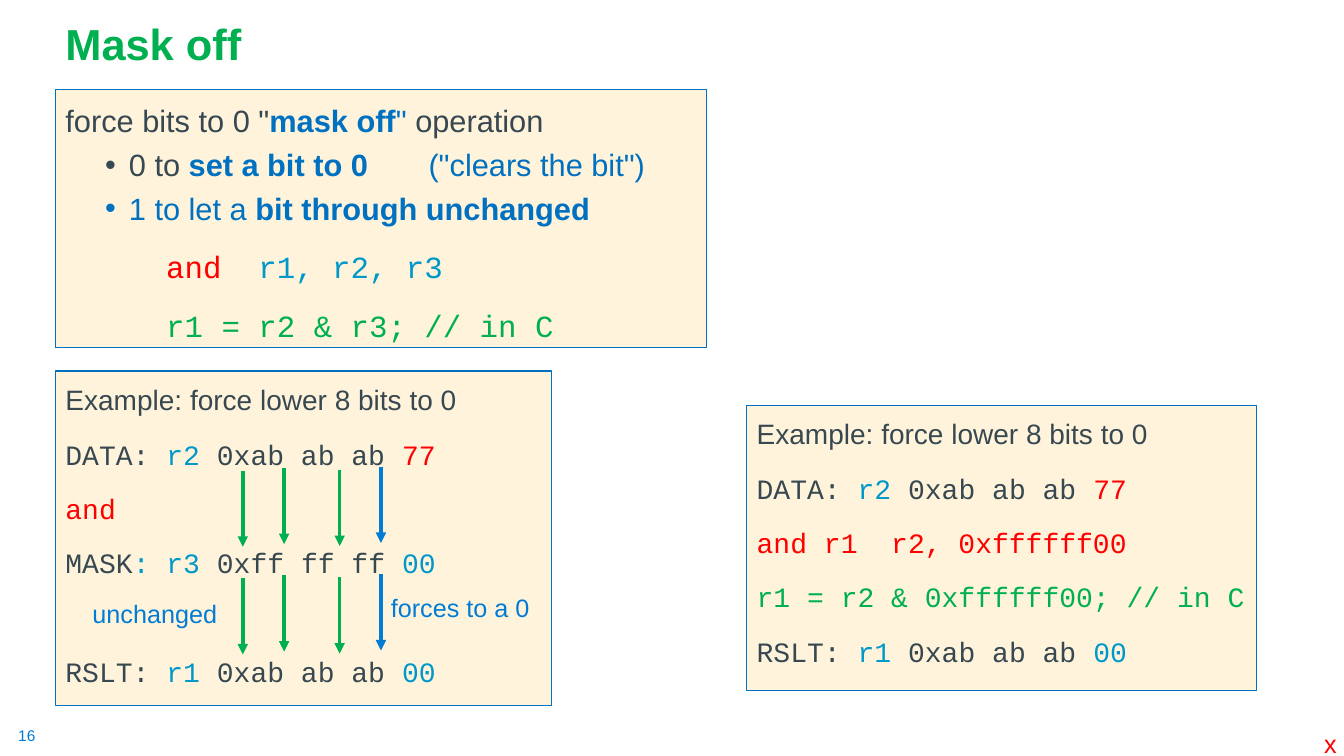
from lxml import etree
from pptx import Presentation
from pptx.dml.color import RGBColor
from pptx.enum.shapes import MSO_CONNECTOR, MSO_SHAPE
from pptx.enum.text import MSO_ANCHOR, PP_ALIGN
from pptx.oxml.ns import qn
from pptx.util import Cm, Pt

RECTANGLE = MSO_SHAPE.RECTANGLE
STRAIGHT = MSO_CONNECTOR.STRAIGHT
TOP, BOTTOM = MSO_ANCHOR.TOP, MSO_ANCHOR.BOTTOM
LEFT = PP_ALIGN.LEFT

CREAM = RGBColor(0xFF, 0xF4, 0xDB)
BLUE = RGBColor(0x00, 0x70, 0xC0)
BRIGHT = RGBColor(0x00, 0x7C, 0xD5)
CYAN = RGBColor(0x00, 0x98, 0xC9)
GREEN = RGBColor(0x00, 0xB0, 0x50)
RED = RGBColor(0xFF, 0x00, 0x00)
SLATE = RGBColor(0x38, 0x48, 0x51)

SANS, MONO = "Arial", "Courier New"

HEADING = [("Example: force lower 8 bits to 0", SLATE)]
DATA = [("DATA: ", SLATE), ("r2", CYAN), (" 0xab ab ab ", SLATE), ("77", RED)]
RESULT = [("RSLT: ", SLATE), ("r1", CYAN), (" 0xab ab ab ", SLATE), ("00", CYAN)]


def add_spans(para, spans, size, font=SANS):
    """Each span is (text, colour) or (text, colour, bold)."""
    for text, colour, *bold in spans:
        span = para.add_run()
        span.text = text
        span.font.name = font
        span.font.size = Pt(size)
        span.font.color.rgb = colour
        span.font.bold = bool(bold and bold[0])


def add_line(frame, spans, size, font=SANS, before=10, spacing=1.2):
    first = not frame.paragraphs[0].runs
    para = frame.paragraphs[0] if first else frame.add_paragraph()
    para.alignment = LEFT
    para.line_spacing = spacing
    para.space_before = Pt(0 if first else before)
    add_spans(para, spans, size, font)
    return para


def indent(para, left, first=0.0, bullet=None, tab=None):
    properties = para._p.get_or_add_pPr()
    properties.set("marL", str(Cm(left)))
    properties.set("indent", str(Cm(first)))
    if bullet:
        etree.SubElement(properties, qn("a:buFont"), typeface=SANS)
        etree.SubElement(properties, qn("a:buChar"), char=bullet)
    if tab:
        stops = etree.SubElement(properties, qn("a:tabLst"))
        etree.SubElement(stops, qn("a:tab"), pos=str(Cm(tab)), algn="l")


def add_label(page, left, top, width, height, text, size, colour, bold=False, inset=True):
    box = page.shapes.add_textbox(Cm(left), Cm(top), Cm(width), Cm(height))
    frame = box.text_frame
    frame.word_wrap = False
    if not inset:
        frame.margin_left = frame.margin_right = 0
        frame.margin_top = frame.margin_bottom = 0
    add_spans(frame.paragraphs[0], [(text, colour, bold)], size)
    return frame


def add_panel(page, left, top, width, height):
    panel = page.shapes.add_shape(RECTANGLE, Cm(left), Cm(top), Cm(width), Cm(height))
    panel.shadow.inherit = False
    panel.fill.solid()
    panel.fill.fore_color.rgb = CREAM
    panel.line.color.rgb = BLUE
    panel.line.width = Pt(0.75)
    frame = panel.text_frame
    frame.word_wrap = True
    frame.vertical_anchor = TOP
    return frame


def add_down_arrow(page, x, top, length, colour):
    arrow = page.shapes.add_connector(STRAIGHT, Cm(x), Cm(top), Cm(x), Cm(top + length))
    arrow.line.color.rgb = colour
    arrow.line.width = Pt(2.5)
    etree.SubElement(arrow.line._get_or_add_ln(), qn("a:tailEnd"), type="triangle")
    etree.SubElement(arrow._element.spPr, qn("a:effectLst"))


def add_definition(page, left, top, width, height):
    frame = add_panel(page, left, top, width, height)
    add_line(frame, [('force bits to 0 "', SLATE), ("mask off", BLUE, True),
                     ('" ', BLUE), ("operation", SLATE)], 22)
    rules = [
        [("0 to ", SLATE), ("set a bit to 0", BLUE, True), ('\t("clears the bit")', BLUE)],
        [("1 to let a ", BLUE), ("bit through unchanged", BLUE, True)],
    ]
    for rule in rules:
        para = add_line(frame, rule, 22, before=5, spacing=1.0)
        indent(para, 1.6, -0.6, bullet="•", tab=9.15)
    for code in ([("and", RED), ("  r1, r2, r3", CYAN)], [("r1 = r2 & r3; // in C", GREEN)]):
        indent(add_line(frame, code, 22, MONO), 2.54)


def add_register_example(page, left, top, width, height):
    frame = add_panel(page, left, top, width, height)
    add_line(frame, HEADING, 20)
    mask = [("MASK", SLATE), (": r3 ", CYAN), ("0xff ff ff ", SLATE), ("00", CYAN)]
    for code in (DATA, [("and", RED)], mask):
        add_line(frame, code, 20, MONO)
    add_line(frame, RESULT, 20, MONO, before=49)

    # Arrows from data to mask, then from mask to result
    columns = [(4.72, 2.51, GREEN), (5.76, 2.44, GREEN), (7.16, 2.49, GREEN), (8.2, 2.41, BRIGHT)]
    for step in (0, 2.71):
        for x, start, colour in columns:
            add_down_arrow(page, left + x, top + start + step, 1.92, colour)

    # What the mask does to each part
    add_label(page, left + 0.68, top + 5.59, 3.68, 1.02, "unchanged", 18, BRIGHT)
    add_label(page, left + 8.2, top + 5.46, 4.04, 1.02, "forces to a 0", 18, BRIGHT)


def add_immediate_example(page, left, top, width, height):
    frame = add_panel(page, left, top, width, height)
    add_line(frame, HEADING, 20)
    instruction = [("and r1  r2, 0xffffff00", RED)]
    c_code = [("r1 = r2 & 0xffffff00; // in C", GREEN)]
    for code in (DATA, instruction, c_code, RESULT):
        add_line(frame, code, 20, MONO)


def main():
    deck = Presentation()
    deck.slide_width, deck.slide_height = Cm(33.87), Cm(19.05)
    page = deck.slides.add_slide(deck.slide_layouts[6])

    # Title and footer marks
    title = add_label(page, 1.4, 0.33, 29.21, 1.55, "Mask off", 31, GREEN, bold=True)
    title.word_wrap = True
    title.vertical_anchor = BOTTOM
    title.paragraphs[0].line_spacing = 0.9
    add_label(page, 0.46, 18.31, 0.48, 0.48, "16", 11, BRIGHT, inset=False)
    add_label(page, 33.12, 18.03, 0.75, 1.02, "x", 18, RED).margin_top = Cm(0.33)

    # Panels
    add_definition(page, 1.4, 2.26, 16.41, 6.5)
    add_register_example(page, 1.4, 9.35, 12.5, 8.43)
    add_immediate_example(page, 18.82, 10.21, 12.85, 7.19)

    deck.save("out.pptx")


if __name__ == "__main__":
    main()
